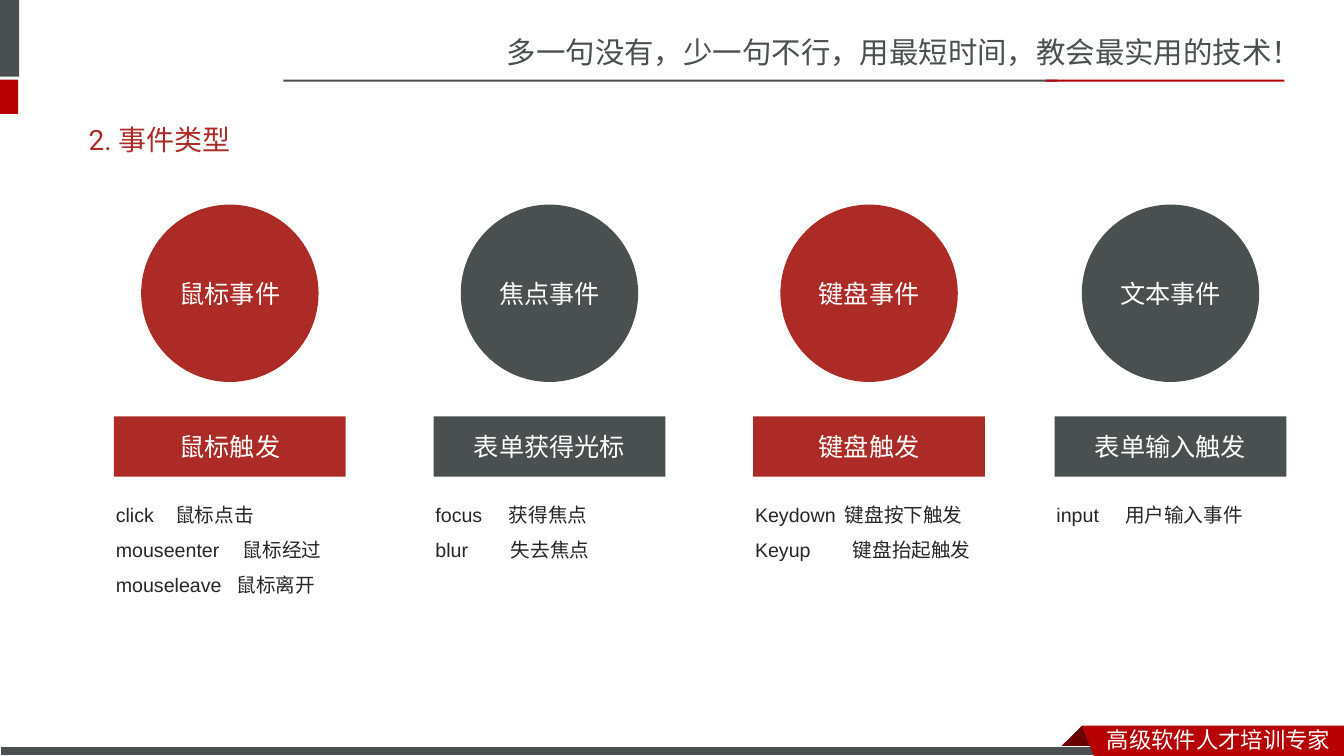
from lxml import etree
from pptx import Presentation
from pptx.dml.color import RGBColor
from pptx.enum import shapes, text
from pptx.oxml import ns
from pptx.util import Inches, Pt

COLORS = {"gray": "49504F", "red": "AD2B26", "bright": "B60004",
          "fold": "680000", "ink": "262626", "white": "FFFFFF"}
CJK = "Noto Sans CJK SC"
EVENTS = [
    (1.13, "red", "鼠标事件", "鼠标触发",
     [("click", 0.59, "鼠标点击"), ("mouseenter", 1.26, "鼠标经过"),
      ("mouseleave", 1.2, "鼠标离开")]),
    (4.3, "gray", "焦点事件", "表单获得光标",
     [("focus", 0.73, "获得焦点"), ("blur", 0.75, "失去焦点")]),
    (7.47, "red", "键盘事件", "键盘触发",
     [("Keydown", 0.89, "键盘按下触发"), ("Keyup", 0.97, "键盘抬起触发")]),
    (10.46, "gray", "文本事件", "表单输入触发",
     [("input", 0.68, "用户输入事件")]),
]


def rgb(name):
    return RGBColor.from_string(COLORS[name])


def add_run(p, content, size, font, color):
    r = p.add_run()
    r.text = content
    r.font.size = Pt(size)
    r.font.name = font
    r.font.color.rgb = rgb(color)
    ea = etree.SubElement(r.font._element, ns.qn("a:ea"))
    ea.set("typeface", CJK)


def paint(sp, color, line=None):
    sp.shadow.inherit = False
    sp.fill.solid()
    sp.fill.fore_color.rgb = rgb(color)
    if line:
        sp.line.color.rgb = rgb(line)
        sp.line.width = Pt(0.75)
    else:
        sp.line.fill.background()


def add_block(s, kind, box, color, line=None):
    sp = s.shapes.add_shape(kind, *map(Inches, box))
    paint(sp, color, line)
    return sp


def add_polygon(s, points, color):
    corners = [(Inches(x), Inches(y)) for x, y in points]
    builder = s.shapes.build_freeform(*corners[0])
    builder.add_line_segments(corners[1:], close=True)
    paint(builder.convert_to_shape(), color)


def add_label(s, kind, box, color, content, font, side):
    tf = add_block(s, kind, box, color).text_frame
    tf.margin_left = tf.margin_right = Inches(side)
    tf.vertical_anchor = text.MSO_ANCHOR.MIDDLE
    p = tf.paragraphs[0]
    p.alignment = text.PP_ALIGN.CENTER
    add_run(p, content, 18, font, "white")


def add_text_frame(s, box):
    tf = s.shapes.add_textbox(*map(Inches, box)).text_frame
    tf.word_wrap = True
    return tf


def add_line_of_text(s, box, content, size, font, color):
    tf = add_text_frame(s, box)
    tf.vertical_anchor = text.MSO_ANCHOR.MIDDLE
    add_run(tf.paragraphs[0], content, size, font, color)


def set_tab(p, position):
    tabs = etree.SubElement(p._p.get_or_add_pPr(), ns.qn("a:tabLst"))
    tab = etree.SubElement(tabs, ns.qn("a:tab"))
    tab.set("pos", str(Inches(position)))
    tab.set("algn", "l")


def add_event_list(s, box, rows):
    tf = add_text_frame(s, box)
    for i, (name, position, meaning) in enumerate(rows):
        p = tf.add_paragraph() if i else tf.paragraphs[0]
        p.line_spacing = 1.5
        set_tab(p, position)
        add_run(p, f"{name}\t{meaning}", 14, "Arial", "ink")


def add_frame(s):
    rect = shapes.MSO_SHAPE.RECTANGLE
    add_line_of_text(s, (4.93, 0.28, 8.4, 0.47),
                     "多一句没有，少一句不行，用最短时间，教会最实用的技术！",
                     21, CJK, "gray")
    for box, color in [((0, 0, 0.19, 0.76), "gray"),
                       ((0, 0.79, 0.18, 0.34), "bright"),
                       ((2.81, 0.79, 7.68, 0.02), "gray"),
                       ((10.37, 0.79, 2.37, 0.02), "bright")]:
        add_block(s, rect, box, color)
    add_polygon(s, [(10.73, 7.2), (10.95, 7.42), (10.94, 7.43),
                    (10.52, 7.43), (10.51, 7.42)], "fold")
    add_block(s, rect, (0, 7.41, 10.99, 0.09), "gray", "white")
    add_polygon(s, [(10.73, 7.2), (13.33, 7.2), (13.33, 7.5),
                    (10.85, 7.5)], "bright")
    add_line_of_text(s, (10.88, 7.15, 2.45, 0.37), "高级软件人才培训专家",
                     16, CJK, "white")


def add_event(s, left, color, name, trigger, rows):
    add_label(s, shapes.MSO_SHAPE.OVAL, (left + 0.27, 2.03, 1.76, 1.76),
              color, name, "Calibri", 0.1)
    add_label(s, shapes.MSO_SHAPE.RECTANGLE, (left, 4.13, 2.3, 0.6),
              color, trigger, "Arial", 0)
    add_event_list(s, (left - 0.08, 4.82, 2.6, 0.11 + 0.35 * len(rows)), rows)


def main():
    prs = Presentation()
    prs.slide_width = Inches(13.33)
    prs.slide_height = Inches(7.5)
    s = prs.slides.add_slide(prs.slide_layouts[6])
    add_frame(s)
    add_line_of_text(s, (0.78, 1.1, 11.75, 0.57), "2. 事件类型",
                     20, "Roboto", "red")
    for event in EVENTS:
        add_event(s, *event)
    prs.save("out.pptx")


if __name__ == "__main__":
    main()
